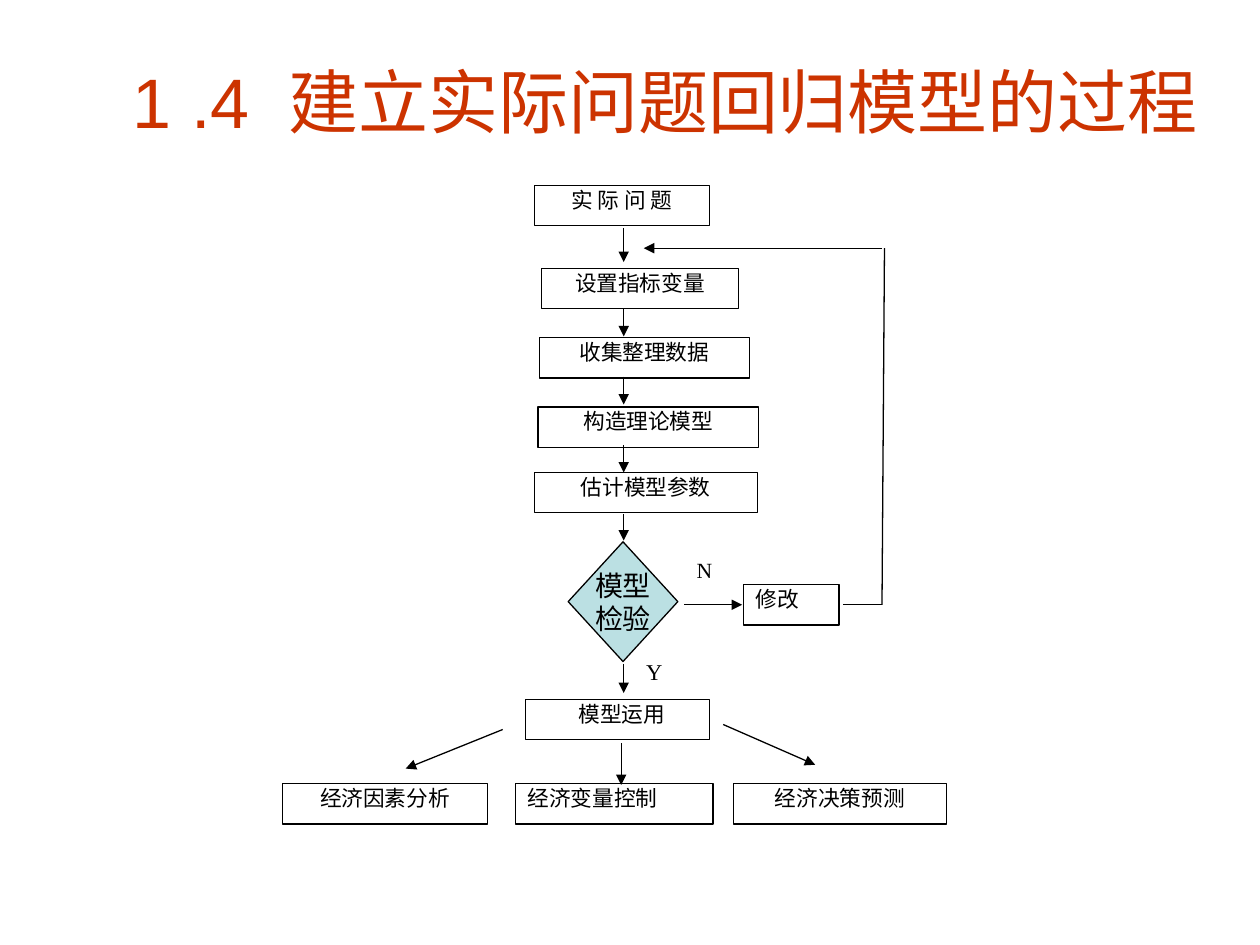
from pptx import Presentation
from pptx.dml.color import RGBColor
from pptx.enum.shapes import MSO_CONNECTOR, MSO_SHAPE
from pptx.enum.text import MSO_ANCHOR, MSO_AUTO_SIZE, PP_ALIGN
from pptx.oxml.ns import qn
from pptx.util import Inches, Pt
from lxml import etree

RECT, DECISION = MSO_SHAPE.RECTANGLE, MSO_SHAPE.FLOWCHART_DECISION
STRAIGHT = MSO_CONNECTOR.STRAIGHT
LEFT, CENTER = PP_ALIGN.LEFT, PP_ALIGN.CENTER
TOP, MIDDLE = MSO_ANCHOR.TOP, MSO_ANCHOR.MIDDLE
NO_FIT = MSO_AUTO_SIZE.NONE

COLORS = {"title": "CC3300", "ink": "000000", "paper": "FFFFFF", "decision": "BBE0E3"}
BOX_H = 0.32
AXIS_X = 4.95
OUTCOME_Y = 6.22


def rgb(name):
    return RGBColor.from_string(COLORS[name])


class FlowSlide:
    """Holds the flowchart style and the current slide."""

    line_width = Pt(0.75)
    margins = {"margin_left": 0.1, "margin_right": 0.1,
               "margin_top": 0.05, "margin_bottom": 0.05}

    def __init__(self, prs):
        self.s = prs.slides.add_slide(prs.slide_layouts[5])

    def put_text(self, tf, text, size, font, color="ink", align=CENTER, spacing=1.0):
        for i, line in enumerate(text.split("\n")):
            p = tf.paragraphs[0] if i == 0 else tf.add_paragraph()
            p.alignment, p.line_spacing = align, spacing
            r = p.add_run()
            r.text = line
            for key, value in {"size": Pt(size), "name": font}.items():
                setattr(r.font, key, value)
            r.font.color.rgb = rgb(color)

    def title(self, text, x, y, w, h):
        sp = self.s.shapes.title
        place = {"left": x, "top": y, "width": w, "height": h}
        for key, value in place.items():
            setattr(sp, key, Inches(value))
        tf = sp.text_frame
        tf.auto_size, tf.vertical_anchor = NO_FIT, MIDDLE
        self.put_text(tf, text, 40, "Arial", "title")

    def shape(self, kind, x, y, w, h, fill="paper", line="ink", anchor=TOP, wrap=True):
        sp = self.s.shapes.add_shape(kind, Inches(x), Inches(y), Inches(w), Inches(h))
        sp.shadow.inherit = False
        sp.fill.solid()
        sp.fill.fore_color.rgb = rgb(fill)
        sp.line.color.rgb = rgb(line)
        sp.line.width = self.line_width
        tf = sp.text_frame
        tf.word_wrap, tf.vertical_anchor = wrap, anchor
        for key, value in self.margins.items():
            setattr(tf, key, Inches(value))
        return tf

    def box(self, text, x, y, w, align=CENTER, line="ink", size=12.4, spacing=0.8):
        tf = self.shape(RECT, x, y, w, BOX_H, line=line)
        self.put_text(tf, text, size, "Times New Roman", align=align, spacing=spacing)
        return tf

    def decision(self, text, x, y, w, h):
        tf = self.shape(DECISION, x, y, w, h, "decision", anchor=MIDDLE, wrap=False)
        self.put_text(tf, text, 16, "Arial")

    def line(self, x1, y1, x2, y2, arrow=True):
        c = self.s.shapes.add_connector(
            STRAIGHT, Inches(x1), Inches(y1), Inches(x2), Inches(y2))
        c.line.color.rgb = rgb("ink")
        c.line.width = self.line_width
        sp_pr = c._element.spPr
        if arrow:
            etree.SubElement(sp_pr.find(qn("a:ln")), qn("a:tailEnd"), type="triangle")
        etree.SubElement(sp_pr, qn("a:effectLst"))


def main():
    prs = Presentation()
    prs.slide_width, prs.slide_height = Inches(10), Inches(7.5)
    flow = FlowSlide(prs)
    flow.title("1 .4  建立实际问题回归模型的过程", 0.83, 0.36, 8.9, 0.87)

    # Main column of steps
    for text, x, y, w in [
        ("实 际 问 题", 4.24, 1.47, 1.39),
        ("设置指标变量", 4.3, 2.13, 1.56),
        ("收集整理数据", 4.28, 2.68, 1.67),
        ("构造理论模型", 4.27, 3.23, 1.75),
        ("估计模型参数", 4.24, 3.75, 1.77),
    ]:
        flow.box(text, x, y, w)

    # Model check with its two answers
    flow.decision("模型\n检验", 4.51, 4.3, 0.87, 0.95)
    flow.box("N", 5.43, 4.41, 0.31, LEFT, "paper")
    flow.box("Y", 5.03, 5.2, 0.33, LEFT, "paper", 12.9, 0.9)
    flow.box("修改", 5.9, 4.64, 0.76, LEFT)

    # Model use and its outcomes
    use = flow.box("模型运用", 4.17, 5.55, 1.46)
    use.margin_left = Inches(0.17)
    for text, x, w, align in [
        ("经济因素分析", 2.24, 1.63, CENTER),
        ("经济变量控制", 4.09, 1.57, LEFT),
        ("经济决策预测", 5.82, 1.69, CENTER),
    ]:
        flow.box(text, x, OUTCOME_Y, w, align)

    # Arrows down the main column
    for y1, y2 in [(1.81, 2.08), (2.45, 2.67), (2.99, 3.21),
                   (3.53, 3.75), (4.08, 4.29), (5.27, 5.5)]:
        flow.line(AXIS_X, y1, AXIS_X, y2)

    # Arrows to the outcomes
    for ends in [(3.99, 5.79, 3.22, 6.1), (4.93, 5.9, 4.93, 6.23),
                 (5.74, 5.75, 6.47, 6.07)]:
        flow.line(*ends)

    # Feedback loop through the revision step
    flow.line(5.43, 4.8, 5.89, 4.8)
    flow.line(7, 4.8, 6.69, 4.8, arrow=False)
    flow.line(7.02, 1.97, 7, 4.8, arrow=False)
    flow.line(7, 1.97, 5.11, 1.97)

    prs.save("out.pptx")


if __name__ == "__main__":
    main()
